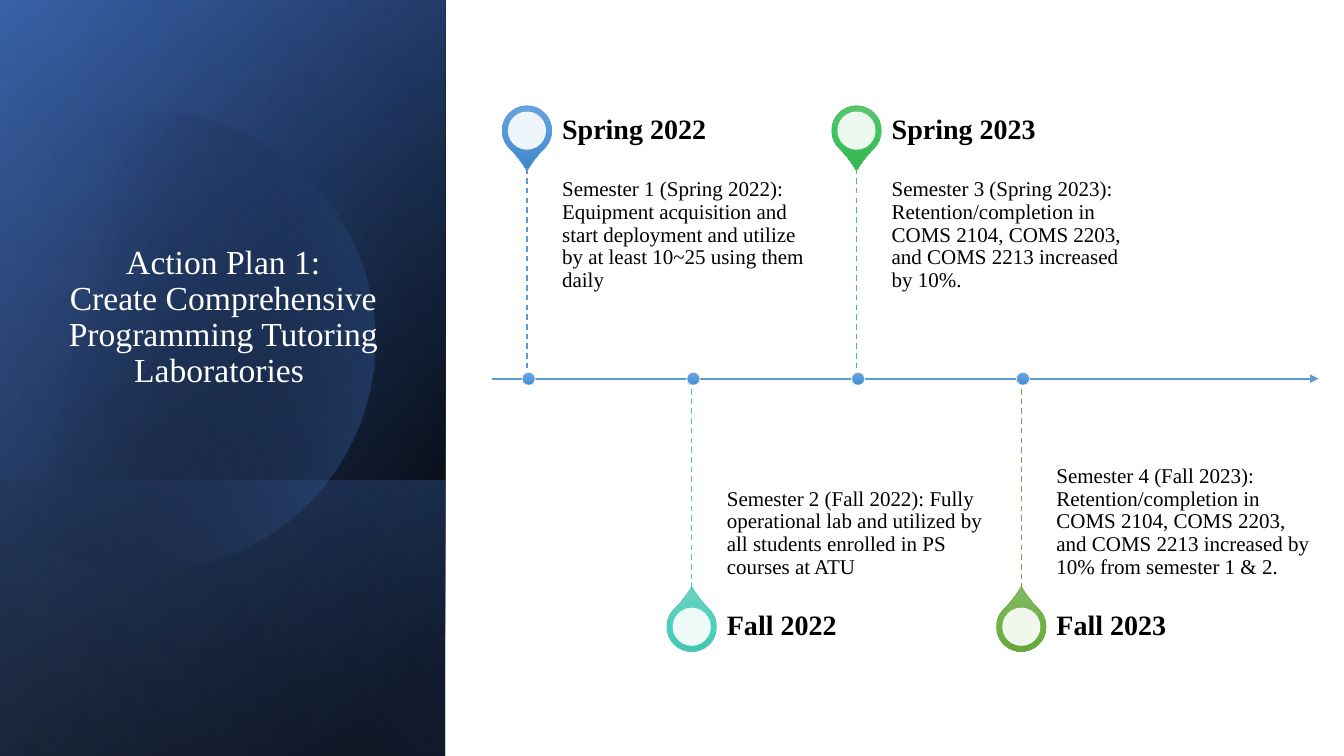
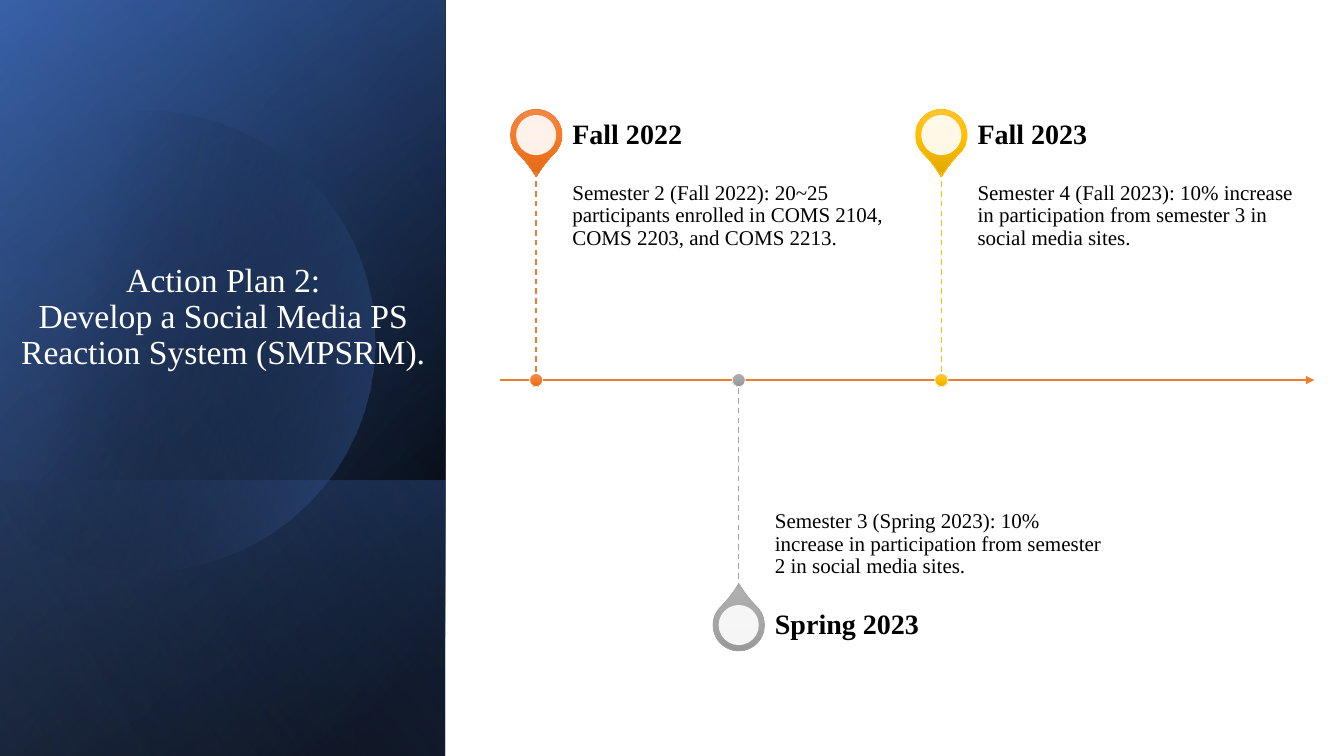
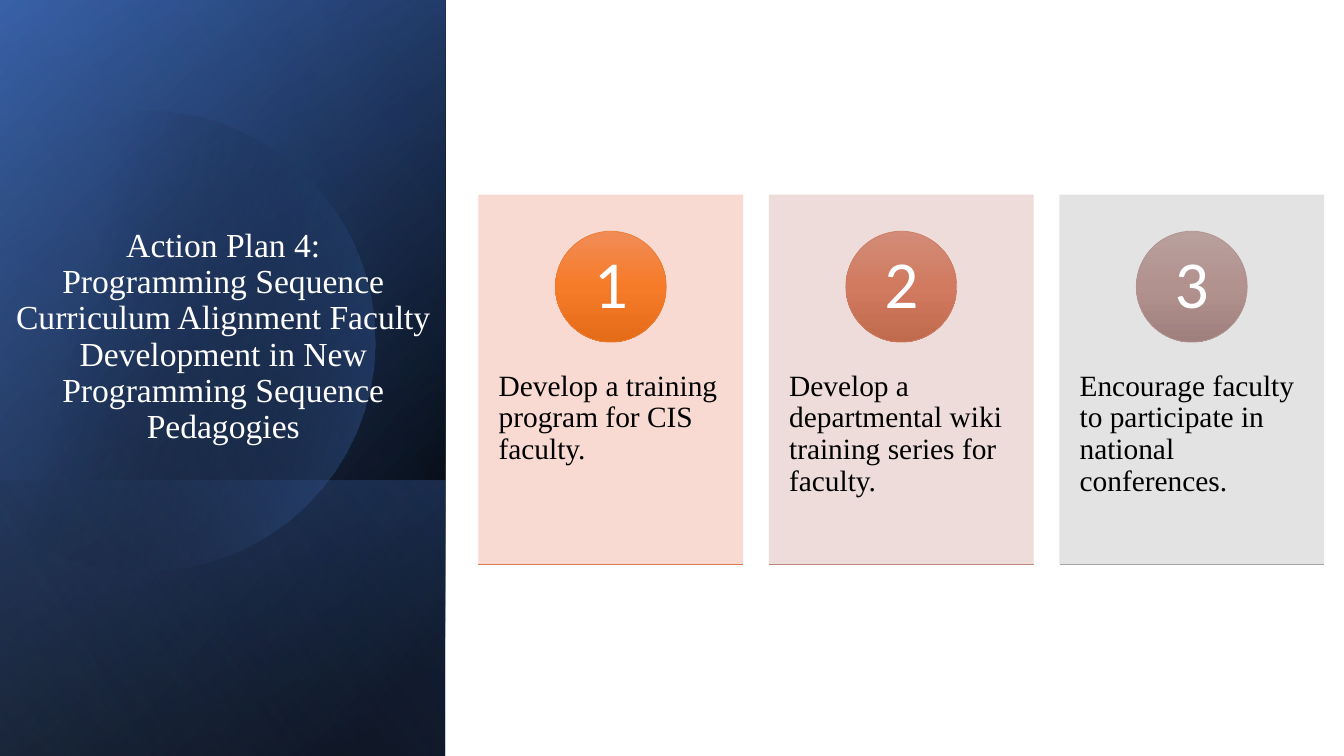
from pptx import Presentation
from pptx.dml.color import RGBColor
from pptx.enum import dml, shapes, text
from pptx.oxml import parse_xml
from pptx.oxml.ns import nsdecls, qn
from pptx.util import Pt

HUES = {
    "black": "000000", "white": "FFFFFF", "navy": "2F5597", "royal": "4472C4",
    "haze": "8FAADC", "peach": "F8D7CE", "rose": "EDD9D7", "pale": "E1E1E1",
}
TONES = {
    "blue": ("71A6DB", "559BDB", "448ACA", "5B9BD5"),
    "teal": ("6AD1C0", "4CD0BC", "3CC0AC", "52CAB8"),
    "green": ("64C677", "44C460", "36B552", "49BF64"),
    "olive": ("81B861", "6FB242", "62A336", "70AD47"),
    "orange": ("F18C57", "F67B28", "E56C19", "ED7D31"),
    "gray": ("AFAFAF", "A5A5A5", "939393", "A5A5A5"),
    "gold": ("FFC64B", "FFC000", "E3AB00", "FFC000"),
    "clay": ("D28C78", "D17A5F", "C06A4E", "CC7D64"),
    "mauve": ("B9A09D", "B2928F", "A0807D", "B09391"),
}
RULES = {"orange": "DC7A4B", "clay": "BD867B", "mauve": "A5A5A5"}
SERIF = "Times New Roman"
WIDE, HIGH, SIDE = 960, 540, 318
KIND = shapes.MSO_SHAPE
MID, LOW = text.MSO_ANCHOR.MIDDLE, text.MSO_ANCHOR.BOTTOM
CURVE = [
    (1.49, 1.1, 2.46, 1.12, 3.35, 1.77, 3.63, 2.75),
    (3.63, 2.75, 3.98, 3.97, 3.28, 5.23, 2.07, 5.58),
    (2.07, 5.58, 1.31, 5.8, 0.53, 5.61, -0.03, 5.14),
    (-0.15, 5.03, -0.15, 4, -0.15, 3, -0.15, 1.75),
    (0, 1.61, 0.23, 1.42, 0.5, 1.28, 0.8, 1.19),
    (0.8, 1.19, 1.03, 1.13, 1.26, 1.1, 1.49, 1.1),
]


def say(frame, words, size=15, hue="black", bold=False, face=SERIF,
        align=text.PP_ALIGN.LEFT, anchor=text.MSO_ANCHOR.TOP, inset=(0, 0, 0, 0)):
    frame.word_wrap = True
    frame.vertical_anchor = anchor
    frame.margin_left, frame.margin_top, frame.margin_right, frame.margin_bottom = map(Pt, inset)
    para = frame.paragraphs[0]
    para.text = words
    para.alignment = align
    para.line_spacing = 0.9
    for run in para.runs:
        run.font.name, run.font.size, run.font.bold = face, Pt(size), bold
        run.font.color.rgb = RGBColor.from_string(HUES[hue])


def write(slide, box, words, **form):
    say(slide.shapes.add_textbox(*map(Pt, box)).text_frame, words, **form)


def grade(shape, stops, angle, turn=1):
    shape.fill.gradient()
    props = shape._element.spPr
    marks = "".join(
        f'<a:gs pos="{pos * 1000}"><a:srgbClr val="{hue}"><a:alpha val="{clear * 1000}"/>'
        f'</a:srgbClr></a:gs>' for pos, hue, clear in stops)
    fill = parse_xml(
        f'<a:gradFill {nsdecls("a")} rotWithShape="{turn}"><a:gsLst>{marks}</a:gsLst>'
        f'<a:lin ang="{angle * 60000}" scaled="0"/></a:gradFill>')
    props.replace(props.find(qn("a:gradFill")), fill)


def form(slide, kind, box, edge=None):
    shape = slide.shapes.add_shape(kind, *map(Pt, box))
    shape.shadow.inherit = False
    if edge:
        shape.line.color.rgb = RGBColor.from_string(edge)
        shape.line.width = Pt(0.5)
    else:
        shape.line.fill.background()
    return shape


def disc(mx, my, size):
    return mx - size / 2, my - size / 2, size, size


def gloss(slide, kind, box, tone, edge=None):
    shape = form(slide, kind, box, edge or TONES[tone][3])
    grade(shape, list(zip((0, 50, 100), TONES[tone], (100, 100, 100))), 90, 0)
    return shape


def sheer(slide, kind, box, hue):
    shape = form(slide, kind, box)
    shape.fill.solid()
    shape.fill.fore_color.rgb = RGBColor.from_string(HUES[hue])
    tint = shape._element.spPr.find(".//" + qn("a:srgbClr"))
    tint.append(parse_xml(f'<a:alpha {nsdecls("a")} val="90000"/>'))


def rule(slide, start, end, hue, width, dash=False, arrow=False):
    line = slide.shapes.add_connector(shapes.MSO_CONNECTOR.STRAIGHT, *map(Pt, start + end))
    line.line.color.rgb = RGBColor.from_string(hue)
    line.line.width = Pt(width)
    if dash:
        line.line.dash_style = dml.MSO_LINE.DASH
    props = line._element.spPr
    if arrow:
        props.find(qn("a:ln")).append(parse_xml(f'<a:tailEnd {nsdecls("a")} type="triangle"/>'))
    props.append(parse_xml(f'<a:effectLst {nsdecls("a")}/>'))


def veil(slide, top, tall, stops, angle):
    box = (SIDE - tall) / 2, top + (tall - SIDE) / 2, tall, SIDE
    shape = form(slide, KIND.RECTANGLE, box)
    shape.rotation = 90
    shape._element.spPr.find(qn("a:xfrm")).set("flipH", "1")
    grade(shape, stops, angle)


def orb(slide):
    dots = []
    for ax, ay, bx, by, cx, cy, dx, dy in CURVE:
        for step in range(17):
            t = step / 16
            s = 1 - t
            mix = s ** 3, 3 * s * s * t, 3 * s * t * t, t ** 3
            dots.append(tuple(
                Pt(72 * sum(m * v for m, v in zip(mix, axis)))
                for axis in ((ax, bx, cx, dx), (ay, by, cy, dy))))
    pen = slide.shapes.build_freeform(*dots[0])
    pen.add_line_segments(dots[1:], close=True)
    shape = pen.convert_to_shape()
    shape.shadow.inherit = False
    shape.line.fill.background()
    grade(shape, [(29, HUES["black"], 0), (100, HUES["royal"], 43)], 14)


def panel(slide, title, drop=0):
    black, royal = HUES["black"], HUES["royal"]
    veil(slide, 0, HIGH, [(8, black, 100), (100, HUES["navy"], 100)], 50)
    veil(slide, 0, HIGH, [(0, black, 0), (99, royal, 46)], 30)
    veil(slide, 343, 197, [(2, royal, 29), (100, black, 30)], 130)
    orb(slide)
    veil(slide, 0, HIGH, [(0, black, 0), (99, HUES["haze"], 11)], 120)
    write(slide, (0.5, 132.5 + drop, SIDE, 188.6), title, size=24, hue="white",
          align=text.PP_ALIGN.CENTER, anchor=MID, inset=(7.2, 3.6, 7.2, 3.6))


def pin(slide, x, axis, up, size, reach, stem, wide, tone, spot, nudge, head, body):
    way = -1 if up else 1
    heart = axis + way * reach
    left = x + size / 2 + 7.5
    drop = gloss(slide, KIND.TEAR, disc(x, heart, size), tone)
    drop.adjustments[0] = 1.15
    drop.rotation = 135 if up else 315
    sheer(slide, KIND.OVAL, disc(x, heart, size - 8), "white")
    if up:
        write(slide, (left, axis - stem, wide, stem), body, inset=(0, 7.2, 7.2, 11.5))
    else:
        write(slide, (left, axis, wide, stem), body, anchor=LOW, inset=(0, 11.5, 0, 7.2))
    write(slide, (left, heart - 26.3, wide, 52.6), head, size=20, bold=True,
          anchor=MID, inset=(0, 0, 10, 0))
    rule(slide, (x, axis + way * stem), (x, axis), TONES[tone][3], 1, dash=True)
    gloss(slide, KIND.OVAL, disc(x + nudge, axis, 9.4), spot, HUES["white"])


def track(slide, box, tone, first, pitch, pins, nudge=0, same=False, **sizes):
    x, y, w, h = box
    axis = y + h / 2
    rule(slide, (x, axis), (x + w, axis), TONES[tone][3], 1.5, arrow=True)
    for i, (hue, head, body) in enumerate(pins):
        pin(slide, x + first + i * pitch, axis, i % 2 == 0, tone=hue,
            spot=tone if same else hue, nudge=nudge, head=head, body=body, **sizes)


def card(slide, box, hue, tone, mark, words):
    x, y, w, h = box
    sheer(slide, KIND.RECTANGLE, box, hue)
    write(slide, (x, y + 100, w, 158.4), words, size=21, inset=(14.4, 25.9, 14.4, 25.9))
    badge = gloss(slide, KIND.OVAL, disc(x + w / 2, y + 65.8, 79.2), tone)
    say(badge.text_frame, mark, size=48, hue="white", face="Calibri",
        align=text.PP_ALIGN.CENTER, anchor=MID)
    rule(slide, (x, y + h), (x + w, y + h), RULES[tone], 0.5)


def main():
    deck = Presentation()
    deck.slide_width, deck.slide_height = Pt(WIDE), Pt(HIGH)
    one, two, three = [deck.slides.add_slide(deck.slide_layouts[6]) for _ in range(3)]

    panel(one, "Action Plan 1:\vCreate Comprehensive Programming Tutoring Laboratories ")
    track(one, (351.2, 0, 590.6, 541), "blue", 25.2, 117.7, [
        ("blue", "Spring 2022", "Semester 1 (Spring 2022): Equipment acquisition and start "
         "deployment and utilize by at least 10~25 using them daily"),
        ("teal", "Fall 2022", "Semester 2 (Fall 2022): Fully operational lab and utilized by "
         "all students enrolled in PS courses at ATU"),
        ("green", "Spring 2023", "Semester 3 (Spring 2023): Retention/completion in COMS 2104, "
         "COMS 2203, and COMS 2213 increased by 10%."),
        ("olive", "Fall 2023", "Semester 4 (Fall 2023): Retention/completion in COMS 2104, "
         "COMS 2203, and COMS 2213 increased by 10% from semester 1 & 2."),
    ], nudge=1.2, same=True, size=35.3, reach=177.2, stem=150.2, wide=187.2)

    panel(two, "Action Plan 2:\vDevelop a Social Media PS Reaction System (SMPSRM).")
    track(two, (357, 0, 581.8, 543), "orange", 26, 144.7, [
        ("orange", "Fall 2022", "Semester 2 (Fall 2022): 20~25 participants enrolled in "
         "COMS 2104, COMS 2203, and COMS 2213."),
        ("gray", "Spring 2023", "Semester 3 (Spring 2023): 10% increase in participation "
         "from semester 2 in social media sites."),
        ("gold", "Fall 2023", "Semester 4 (Fall 2023): 10% increase in participation "
         "from semester 3 in social media sites."),
    ], size=36.7, reach=175, stem=148.8, wide=239.8)

    panel(three, "Action Plan 4:\vProgramming Sequence Curriculum Alignment Faculty "
          "Development in New Programming Sequence Pedagogies", drop=14)
    cards = [
        ("peach", "orange", "Develop a training program for CIS faculty."),
        ("rose", "clay", "Develop a departmental wiki training series for faculty. "),
        ("pale", "mauve", "Encourage faculty to participate in national conferences."),
    ]
    for i, (hue, tone, words) in enumerate(cards):
        card(three, (341.8 + i * 207.5, 139, 189, 264.2), hue, tone, str(i + 1), words)

    deck.save("out.pptx")


if __name__ == "__main__":
    main()
